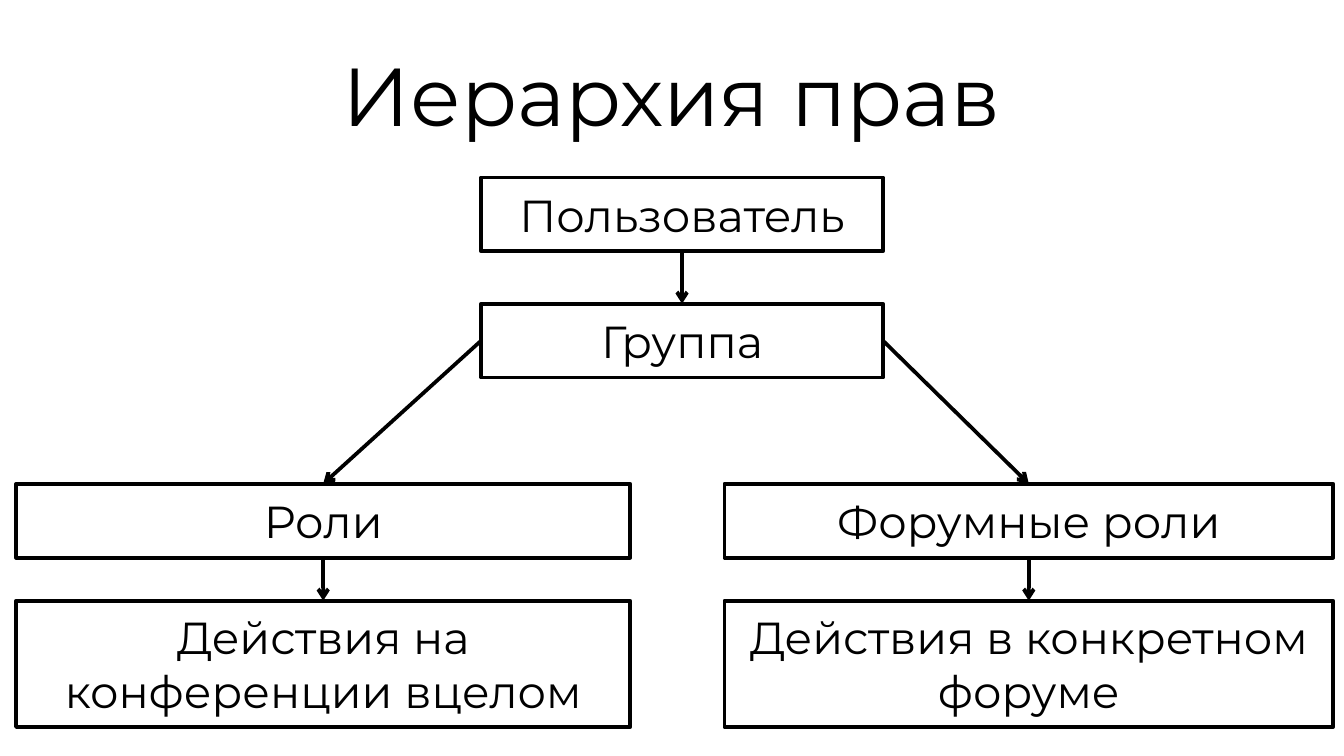
from dataclasses import dataclass

from lxml import etree
from pptx import Presentation
from pptx.dml.color import RGBColor
from pptx.enum.shapes import MSO_CONNECTOR, MSO_SHAPE
from pptx.enum.text import MSO_ANCHOR, MSO_AUTO_SIZE, PP_ALIGN
from pptx.oxml.ns import qn
from pptx.util import Inches, Pt

RECT = MSO_SHAPE.RECTANGLE
STRAIGHT = MSO_CONNECTOR.STRAIGHT
MIDDLE = MSO_ANCHOR.MIDDLE
CENTER = PP_ALIGN.CENTER
NO_FIT = MSO_AUTO_SIZE.NONE
TOP, LEFT, BOTTOM, RIGHT = range(4)


@dataclass(frozen=True)
class Theme:
    font: str = "Montserrat"
    ink: RGBColor = RGBColor(0, 0, 0)
    paper: RGBColor = RGBColor(255, 255, 255)
    title: int = 44
    body: int = 24
    line: int = 2


THEME = Theme()


def write(shape, text, size=THEME.body, color=THEME.ink, align=CENTER):
    frame = shape.text_frame
    frame.word_wrap = True
    frame.auto_size = NO_FIT
    frame.vertical_anchor = MIDDLE
    para = frame.paragraphs[0]
    para.alignment = align
    run = para.add_run()
    run.text = text
    run.font.name = THEME.font
    run.font.size = Pt(size)
    run.font.color.rgb = color


def ink_line(line):
    line.color.rgb = THEME.ink
    line.width = Pt(THEME.line)


def add_title(slide, text):
    title = slide.shapes.title
    title.left, title.top = Inches(0.5), Inches(0.23)
    title.width, title.height = Inches(9), Inches(0.94)
    write(title, text, size=THEME.title)


def add_box(slide, text, column, top, height=0.55):
    left, width = column
    box = slide.shapes.add_shape(
        RECT, Inches(left), Inches(top), Inches(width), Inches(height))
    box.shadow.inherit = False
    box.fill.solid()
    box.fill.fore_color.rgb = THEME.paper
    ink_line(box.line)
    write(box, text)
    return box


def add_arrow(slide, start, end, side=BOTTOM):
    arrow = slide.shapes.add_connector(STRAIGHT, 0, 0, 0, 0)
    arrow.begin_connect(start, side)
    arrow.end_connect(end, TOP)
    ink_line(arrow.line)
    props = arrow.element.spPr
    etree.SubElement(props.find(qn("a:ln")), qn("a:tailEnd"), type="arrow")
    etree.SubElement(props, qn("a:effectLst"))


def main():
    deck = Presentation()
    deck.slide_width = Inches(10)
    deck.slide_height = deck.slide_width * 9 // 16
    slide = deck.slides.add_slide(deck.slide_layouts[5])
    add_title(slide, "Иерархия прав")

    center = (3.58, 2.99)
    user = add_box(slide, "Пользователь", center, 1.32)
    group = add_box(slide, "Группа", center, 2.26)
    add_arrow(slide, user, group)

    branches = [
        (LEFT, (0.12, 4.57), "Роли", "Действия на конференции вцелом"),
        (RIGHT, (5.39, 4.53), "Форумные роли", "Действия в конкретном форуме"),
    ]
    for side, column, role, action in branches:
        upper = add_box(slide, role, column, 3.6)
        lower = add_box(slide, action, column, 4.47, height=0.94)
        add_arrow(slide, group, upper, side=side)
        add_arrow(slide, upper, lower)

    deck.save("out.pptx")


if __name__ == "__main__":
    main()
